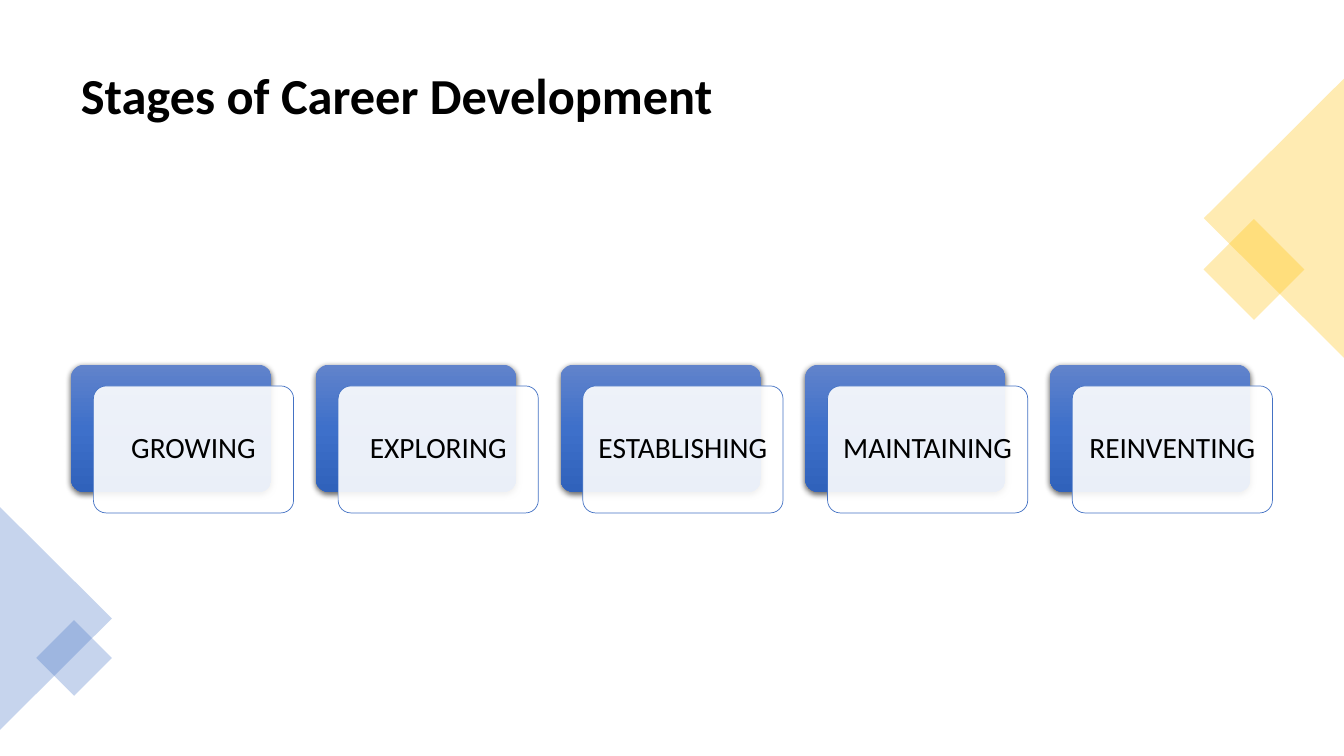
from lxml.etree import SubElement
from pptx import Presentation
from pptx.dml.color import RGBColor
from pptx.enum.shapes import MSO_SHAPE
from pptx.enum.text import MSO_ANCHOR, PP_ALIGN
from pptx.oxml.ns import qn
from pptx.util import Pt

COLORS = {
    "text": "000000",
    "card": "FFFFFF",
    "blue": "4472C4",
    "gold": "FFC000",
    "top": "6183CB",
    "middle": "3E70CA",
    "bottom": "3062BB",
}


def add_block(kind, x, y, w, h, color, opacity):
    sp = s.shapes.add_shape(kind, Pt(x), Pt(y), Pt(w), Pt(h))
    sp.shadow.inherit = False
    sp.line.fill.background()
    sp.fill.solid()
    sp.fill.fore_color.rgb = RGBColor.from_string(COLORS[color])
    clr = sp.fill._xPr.find(qn("a:solidFill"))[0]
    SubElement(clr, qn("a:alpha"), val=str(opacity * 1000))
    return sp


def add_text(sp, text, size, bold, align):
    tf = sp.text_frame
    tf.word_wrap = True
    tf.vertical_anchor = MSO_ANCHOR.MIDDLE
    p = tf.paragraphs[0]
    p.alignment = align
    p.line_spacing = 0.9
    r = p.add_run()
    r.text = text
    r.font.name = "Calibri"
    r.font.size = Pt(size)
    r.font.bold = bold
    r.font.color.rgb = RGBColor.from_string(COLORS["text"])


prs = Presentation()
prs.slide_width = Pt(960)
prs.slide_height = Pt(540)
s = prs.slides.add_slide(prs.slide_layouts[6])

title = s.shapes.add_textbox(Pt(50.7), Pt(25.2), Pt(859), Pt(89.3))
add_text(title, "Stages of Career Development", 36, True, PP_ALIGN.LEFT)

corners = [
    (MSO_SHAPE.RECTANGLE, 870.2, 167, 51, 51, 45, "gold"),
    (MSO_SHAPE.ISOSCELES_TRIANGLE, 810.2, 105.8, 199.4, 100.1, 270, "gold"),
    (MSO_SHAPE.ISOSCELES_TRIANGLE, -39.6, 401.8, 159.1, 79.9, 90, "blue"),
    (MSO_SHAPE.RECTANGLE, 33.8, 450.9, 38.2, 38.2, 45, "blue"),
]
for kind, x, y, w, h, angle, color in corners:
    sp = add_block(kind, x, y, w, h, color, 30)
    sp.rotation = angle

stages = ["GROWING", "EXPLORING", "ESTABLISHING", "MAINTAINING", "REINVENTING"]
left, top, width, height = 50.8, 260.6, 143, 90.7
step = 174.8
shift_x, shift_y = 15.9, 15.1
for i, stage in enumerate(stages):
    x = left + i * step

    back = add_block(MSO_SHAPE.ROUNDED_RECTANGLE, x, top, width, height, "blue", 100)
    back.adjustments[0] = 0.1
    back.fill.gradient()
    back.fill.gradient_angle = 270
    stops = back.fill._xPr.find(qn("a:gradFill")).find(qn("a:gsLst"))
    stops.clear()
    for pos, color in [(0, "top"), (50, "middle"), (100, "bottom")]:
        gs = SubElement(stops, qn("a:gs"), pos=str(pos * 1000))
        SubElement(gs, qn("a:srgbClr"), val=COLORS[color])
    effects = back.fill._xPr.find(qn("a:effectLst"))
    shadow = SubElement(effects, qn("a:outerShdw"), blurRad=str(Pt(4.5)),
                        dist=str(Pt(1.5)), dir="5400000", algn="ctr", rotWithShape="0")
    clr = SubElement(shadow, qn("a:srgbClr"), val=COLORS["text"])
    SubElement(clr, qn("a:alpha"), val="63000")

    card = add_block(MSO_SHAPE.ROUNDED_RECTANGLE, x + shift_x, top + shift_y,
                     width, height, "card", 90)
    card.adjustments[0] = 0.1
    card.line.color.rgb = RGBColor.from_string(COLORS["blue"])
    card.line.width = Pt(0.5)
    tf = card.text_frame
    tf.margin_left = tf.margin_right = tf.margin_top = tf.margin_bottom = Pt(4)
    add_text(card, stage, 21, False, PP_ALIGN.CENTER)

prs.save("out.pptx")
